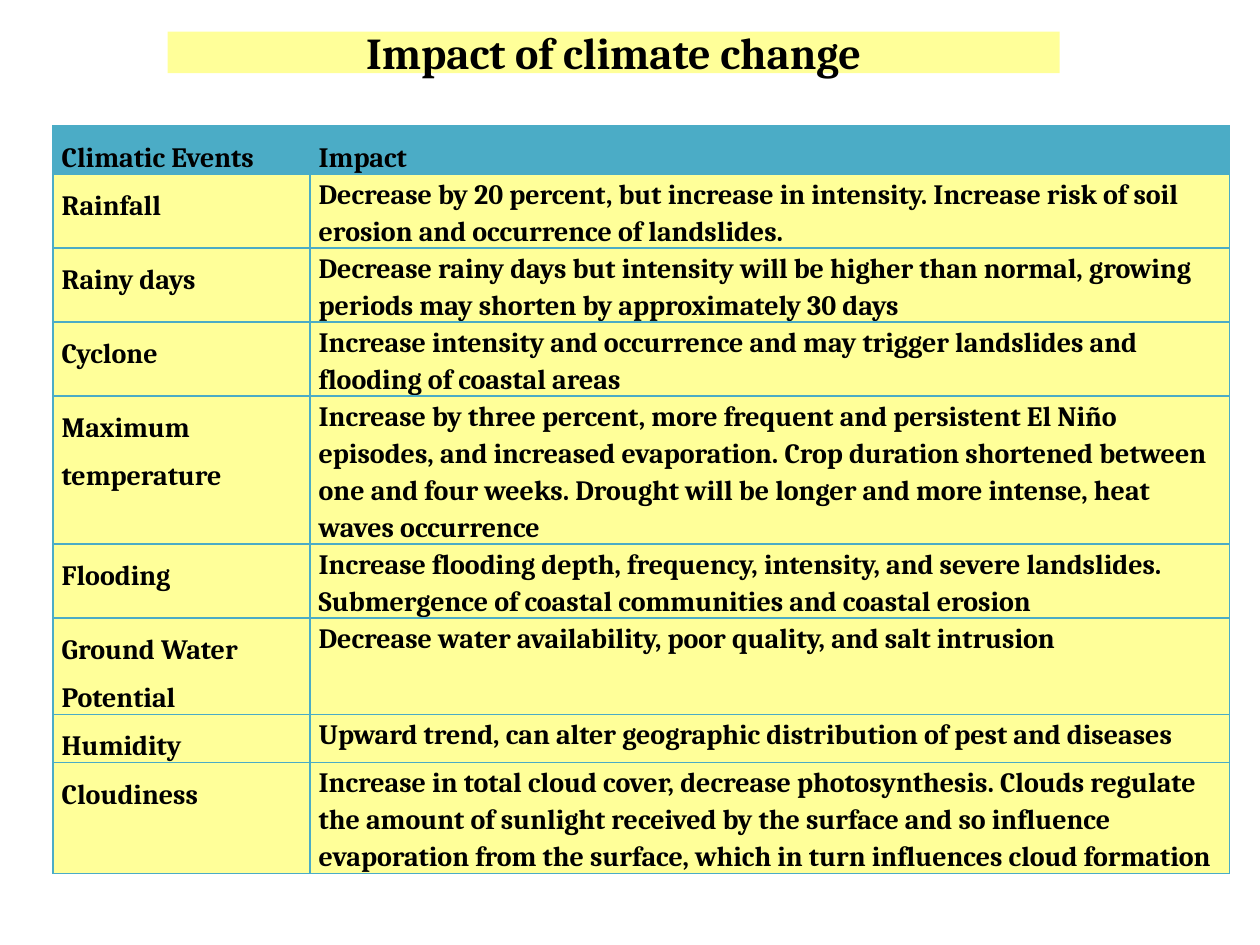
from lxml.etree import SubElement
from pptx import Presentation
from pptx.dml.color import RGBColor
from pptx.enum.text import MSO_ANCHOR, MSO_AUTO_SIZE, PP_ALIGN
from pptx.oxml.ns import qn
from pptx.util import Inches, Pt

TITLE = "Impact of climate change"
HEADER = ("Climatic Events", "Impact", 0.29)
# Climatic event, impact, minimum row height in inches
EVENTS = [
    ("Rainfall",
     "Decrease by 20 percent, but increase in intensity. Increase risk of soil "
     "erosion and occurrence of landslides.", 0.44),
    ("Rainy days",
     "Decrease rainy days but intensity will be higher than normal, growing "
     "periods may shorten by approximately 30 days", 0.44),
    ("Cyclone",
     "Increase intensity and occurrence and may trigger landslides and "
     "flooding of coastal areas", 0.44),
    ("Maximum temperature",
     "Increase by three percent, more frequent and persistent El Niño "
     "episodes, and increased evaporation. Crop duration shortened between "
     "one and four weeks. Drought will be longer and more intense, heat "
     "waves occurrence", 0.88),
    ("Flooding",
     "Increase flooding depth, frequency, intensity, and severe landslides. "
     "Submergence of coastal communities and coastal erosion", 0.44),
    ("Ground Water Potential",
     "Decrease water availability, poor quality, and salt intrusion", 0.57),
    ("Humidity",
     "Upward trend, can alter geographic distribution of pest and diseases", 0.29),
    ("Cloudiness",
     "Increase in total cloud cover, decrease photosynthesis. Clouds regulate "
     "the amount of sunlight received by the surface and so influence "
     "evaporation from the surface, which in turn influences cloud formation", 0.66),
]

THEME = {
    "font": "Cambria", "text": "000000", "accent": "4BACC6", "panel": "FFFF99",
    "title_size": 25.2, "table_size": 16, "border_width": 1,
    "loose_spacing": 1.5, "tight_spacing": 1.15,
}
TITLE_BOX = {"left": 1.33, "top": 0.25, "width": 7.08, "height": 0.33}
TABLE_LEFT, TABLE_TOP = 0.42, 1
COLUMN_WIDTHS = (2.04, 7.3)
CELL_MARGINS = {"margin_left": 0.07, "margin_right": 0.07,
                "margin_top": 0, "margin_bottom": 0}


def set_lengths(target, lengths):
    for name, value in lengths.items():
        setattr(target, name, Inches(value))


def fill_solid(target, color):
    target.fill.solid()
    target.fill.fore_color.rgb = RGBColor.from_string(color)


def write_text(text_frame, text, size):
    text_frame.text = text
    paragraph = text_frame.paragraphs[0]
    font = paragraph.runs[0].font
    for name, value in {"name": THEME["font"], "size": Pt(size), "bold": True}.items():
        setattr(font, name, value)
    font.color.rgb = RGBColor.from_string(THEME["text"])
    return paragraph


def add_borders(cell):
    """Draw all four sides; must run before the cell is filled."""
    properties = cell._tc.get_or_add_tcPr()
    for side in ("lnL", "lnR", "lnT", "lnB"):
        line = SubElement(properties, qn(f"a:{side}"), w=str(Pt(THEME["border_width"])))
        SubElement(SubElement(line, qn("a:solidFill")), qn("a:srgbClr"), val=THEME["accent"])


def format_title(title):
    set_lengths(title, TITLE_BOX)
    fill_solid(title, THEME["panel"])
    paragraph = write_text(title.text_frame, TITLE, THEME["title_size"])
    paragraph.alignment = PP_ALIGN.CENTER
    title.text_frame.auto_size = MSO_AUTO_SIZE.NONE
    title.text_frame.vertical_anchor = MSO_ANCHOR.MIDDLE


def add_impact_table(slide):
    rows = [HEADER, *EVENTS]
    table = slide.shapes.add_table(
        len(rows), len(COLUMN_WIDTHS), Inches(TABLE_LEFT), Inches(TABLE_TOP),
        Inches(sum(COLUMN_WIDTHS)), Inches(sum(row[-1] for row in rows))).table
    for column, width in zip(table.columns, COLUMN_WIDTHS):
        column.width = Inches(width)
    for row_index, (*texts, height) in enumerate(rows):
        table.rows[row_index].height = Inches(height)
        is_header = row_index == 0
        for column_index, text in enumerate(texts):
            cell = table.cell(row_index, column_index)
            set_lengths(cell, CELL_MARGINS)
            add_borders(cell)
            fill_solid(cell, THEME["accent" if is_header else "panel"])
            paragraph = write_text(cell.text_frame, text, THEME["table_size"])
            loose = is_header or column_index == 0
            paragraph.line_spacing = THEME["loose_spacing" if loose else "tight_spacing"]


def main():
    presentation = Presentation()
    presentation.slide_width, presentation.slide_height = Inches(10), Inches(7.5)
    slide = presentation.slides.add_slide(presentation.slide_layouts.get_by_name("Title Only"))
    format_title(slide.shapes.title)
    add_impact_table(slide)
    presentation.save("out.pptx")


if __name__ == "__main__":
    main()
